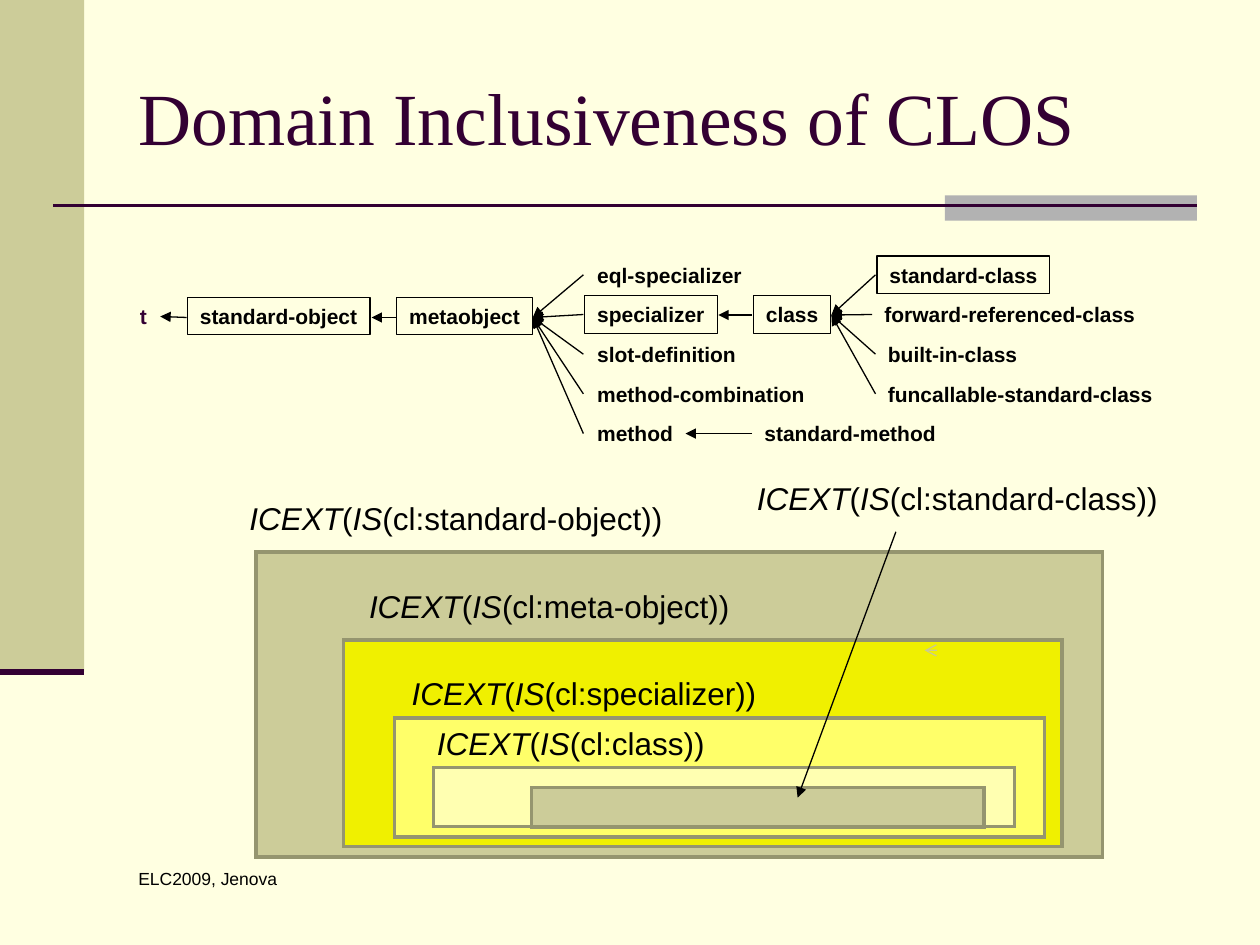
import pptx
import pptx.util
import pptx.dml.color
import pptx.enum.shapes
import pptx.enum.text
import pptx.oxml.ns
import lxml.etree

Cm, Pt = pptx.util.Cm, pptx.util.Pt
qn = pptx.oxml.ns.qn
ink, plum, sand, edge, cream = "000000", "330033", "CCCC99", "95956F", "FFFFE1"


def hue(code):
    return pptx.dml.color.RGBColor.from_string(code)


def text(runs, at, size=12, font="Arial", color=ink, bold=False,
         wrap=False, mid=False, line=None, fill=None):
    """Add a text box; runs are (words, italic) pairs."""
    box = slide.shapes.add_textbox(*[Cm(n) for n in at])
    frame = box.text_frame
    frame.word_wrap = wrap
    if not wrap:
        frame.auto_size = pptx.enum.text.MSO_AUTO_SIZE.SHAPE_TO_FIT_TEXT
        frame.margin_right = Cm(0.1)
    if mid:
        frame.vertical_anchor = pptx.enum.text.MSO_ANCHOR.MIDDLE
    if fill:
        box.fill.solid()
        box.fill.fore_color.rgb = hue(fill)
    if line:
        box.line.color.rgb = hue(line)
        box.line.width = Pt(0.75)
    for words, slant in runs:
        run = frame.paragraphs[0].add_run()
        run.text = words
        run.font.size, run.font.name = Pt(size), font
        run.font.bold, run.font.italic = bold, slant
        run.font.color.rgb = hue(color)


deck = pptx.Presentation()
deck.slide_width, deck.slide_height = Cm(25.4), Cm(19.05)
slide = deck.slides.add_slide(deck.slide_layouts[6])
slide.background.fill.solid()
slide.background.fill.fore_color.rgb = hue(cream)

# Title and footer
text([("Domain Inclusiveness of CLOS", False)], (2.54, 0.76, 21.59, 3.18),
     size=42, font="Times New Roman", color=plum, wrap=True, mid=True,
     fill=cream)
text([("ELC2009, Jenova", False)], (2.54, 17.37, 5.51, 1.27),
     size=10, wrap=True)

# Side bar, title accent and nested domains: left, top, width, height, fill, line
rects = [
    (0, 0, 1.7, 13.54, sand, None),
    (19.05, 3.94, 5.08, 0.51, "B2B2B2", None),
    (5.16, 11.13, 17.07, 6.15, sand, edge),
    (6.93, 12.9, 14.48, 4.17, "F0F000", edge),
    (7.95, 14.48, 13.11, 2.39, "FFFF69", edge),
    (8.74, 15.47, 11.71, 1.19, "FFFFB1", edge),
    (10.72, 15.88, 9.12, 0.79, sand, edge),
]
for *at, fill, line in rects:
    rect = slide.shapes.add_shape(
        pptx.enum.shapes.MSO_SHAPE.RECTANGLE, *[Cm(n) for n in at])
    rect.shadow.inherit = False
    rect.fill.solid()
    rect.fill.fore_color.rgb = hue(fill)
    if line:
        rect.line.color.rgb = hue(line)
        rect.line.width = Pt(2)
        lxml.etree.SubElement(rect.line._get_or_add_ln(), qn("a:miter"),
                              lim="800000")
    else:
        rect.line.fill.background()

# Class tree: name, left, row, width, boxed
top, step = 5.16, 0.8
nodes = [
    ("t", 2.57, 1.04, 0.64, False),
    ("standard-object", 3.78, 1.04, 3.68, True),
    ("metaobject", 8, 1.04, 2.74, True),
    ("eql-specializer", 11.79, 0, 3.43, False),
    ("specializer", 11.79, 1, 2.67, True),
    ("slot-definition", 11.79, 2, 3.3, False),
    ("method-combination", 11.79, 3, 4.7, False),
    ("method", 11.79, 4, 2.03, False),
    ("standard-method", 15.16, 4, 3.96, False),
    ("class", 15.19, 1, 1.55, True),
    ("standard-class", 17.68, 0, 3.48, True),
    ("forward-referenced-class", 17.58, 1, 5.56, False),
    ("built-in-class", 17.65, 2, 3.12, False),
    ("funcallable-standard-class", 17.65, 3, 5.84, False),
]
for name, left, row, wide, boxed in nodes:
    text([(name, False)], (left, top + step * row, wide, 0.76), bold=True,
         color=plum if name == "t" else ink, line=ink if boxed else None)

# Domain labels: class, left, top, width
labels = [
    ("standard-object", 4.78, 9.93, 8.84),
    ("meta-object", 7.19, 11.71, 7.77),
    ("specializer", 8.05, 13.46, 7.44),
    ("class", 8.56, 14.48, 5.89),
    ("standard-class", 15.01, 9.53, 8.59),
]
for name, *at in labels:
    text([("ICEXT", True), ("(", False), ("IS", True),
          (f"(cl:{name}))", False)], (*at, 1.02), size=18)

# Rules and arrows: from x, y, to x, y, colour, width, head
base = top + 0.38
lines = [
    (1.07, 4.14, 24.13, 4.14, plum, 1.5, None),
    (0, 13.54, 1.7, 13.54, plum, 3.5, None),
    (3.76, 6.4, 3.23, 6.38, ink, 0.75, "triangle"),
    (7.98, 6.4, 7.49, 6.4, ink, 0.75, "triangle"),
    (15.16, 8.74, 13.82, 8.74, ink, 0.75, "triangle"),
    (15.16, 6.35, 14.48, 6.35, ink, 0.75, "triangle"),
    (18.85, 13.11, 18.64, 13.11, "C9C994", 0.75, "arrow"),
    (18.06, 10.72, 16.08, 16.08, ink, 0.75, "triangle"),
]
for row in range(5):
    lines.append((11.76, base + step * row, 10.74, 6.4, ink, 0.75, "triangle"))
for row, left in enumerate((17.65, 17.58, 17.65, 17.65)):
    lines.append((left, base + step * row, 16.76, 6.35, ink, 0.75, "triangle"))
for *ends, color, wide, head in lines:
    link = slide.shapes.add_connector(
        pptx.enum.shapes.MSO_CONNECTOR.STRAIGHT, *[Cm(n) for n in ends])
    link.line.color.rgb = hue(color)
    link.line.width = Pt(wide)
    if head:
        lxml.etree.SubElement(link.line._get_or_add_ln(), qn("a:tailEnd"),
                              type=head)
    lxml.etree.SubElement(link._element.spPr, qn("a:effectLst"))

deck.save("out.pptx")
